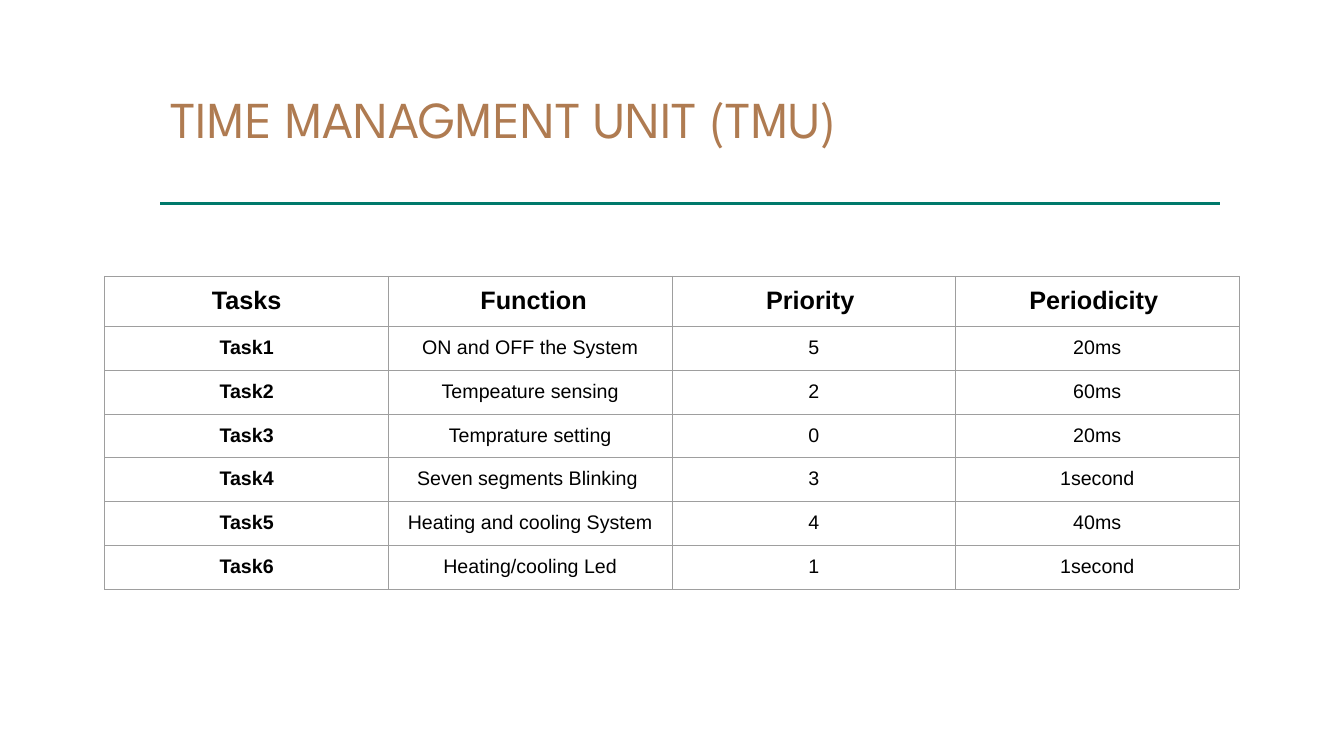
from lxml import etree
from pptx import Presentation, util as u
from pptx.dml.color import RGBColor
from pptx.enum import shapes, text
from pptx.oxml.ns import qn

BROWN = RGBColor(0xAF, 0x7B, 0x51)
TEAL = RGBColor(0x00, 0x79, 0x6B)
BLACK = RGBColor(0, 0, 0)
GRAY = RGBColor(0x9E, 0x9E, 0x9E)

# Slide grid: one column and one row are each an inch.
COL = ROW = u.Inches(1)
HEAD = (1.59, 0.88, 10.51, 1.14)
BODY = (1.04, 2.74, 11.25, 3)
HEAD_ROW, TASK_ROW = 0.48, 0.42

TASKS = [
    ("Tasks", " Function", "Priority ", "Periodicity "),
    ("Task1", "ON and OFF the System", "5", "20ms"),
    ("Task2", "Tempeature sensing", "2", "60ms"),
    ("Task3", "Temprature setting", "0", "20ms"),
    ("Task4", "Seven segments Blinking ", "3", "1second"),
    ("Task5", "Heating and cooling System", "4", "40ms"),
    ("Task6", "Heating/cooling Led", "1", "1second"),
]


def place(box):
    """Turn a box in grid columns and rows into slide lengths."""
    x, y, w, h = box
    return int(x * COL), int(y * ROW), int(w * COL), int(h * ROW)


def write(frame, words, size, font="Arial", color=BLACK, bold=False,
          align=text.PP_ALIGN.LEFT, space=1.0):
    frame.word_wrap = True
    para = frame.paragraphs[0]
    para.alignment = align
    para.line_spacing = space
    run = para.add_run()
    run.text = words
    run.font.size = u.Pt(size)
    run.font.name = font
    run.font.bold = bold
    run.font.color.rgb = color


def border(cell):
    """Draw a thin gray line on all four sides of a cell."""
    props = cell._tc.get_or_add_tcPr()
    for side in ("lnL", "lnR", "lnT", "lnB"):
        line = etree.SubElement(props, qn("a:" + side), w=str(u.Pt(0.75)))
        fill = etree.SubElement(line, qn("a:solidFill"))
        etree.SubElement(fill, qn("a:srgbClr"), val=str(GRAY))


def header(slide, box, words):
    """Place the title over a rule along the bottom of the box."""
    x, y, w, h = place(box)
    rule = slide.shapes.add_connector(
        shapes.MSO_CONNECTOR.STRAIGHT, x, y + h, x + w, y + h)
    rule.line.color.rgb = TEAL
    rule.line.width = u.Pt(2.5)
    etree.SubElement(rule._element.spPr, qn("a:effectLst"))
    title = slide.shapes.add_textbox(x, y, w, h)
    write(title.text_frame, words, 37, font="League Spartan", color=BROWN,
          space=0.9)


def schedule(slide, box, rows):
    """Place the task table, with bold first row and first column."""
    grid = slide.shapes.add_table(len(rows), len(rows[0]), *place(box)).table
    grid.first_row = grid.horz_banding = False
    for r, row in enumerate(rows):
        grid.rows[r].height = int((TASK_ROW if r else HEAD_ROW) * ROW)
        for c, words in enumerate(row):
            cell = grid.cell(r, c)
            cell.margin_left = cell.margin_right = u.Inches(0.1)
            cell.margin_top = cell.margin_bottom = u.Inches(0.1)
            border(cell)
            cell.fill.background()
            write(cell.text_frame, words, 14 if r else 18,
                  bold=r == 0 or c == 0, align=text.PP_ALIGN.CENTER)


def main():
    deck = Presentation()
    deck.slide_width, deck.slide_height = u.Inches(13.33), u.Inches(7.5)
    slide = deck.slides.add_slide(deck.slide_layouts[6])
    header(slide, HEAD, "TIME MANAGMENT UNIT (TMU)")
    schedule(slide, BODY, TASKS)
    deck.save("out.pptx")


if __name__ == "__main__":
    main()
